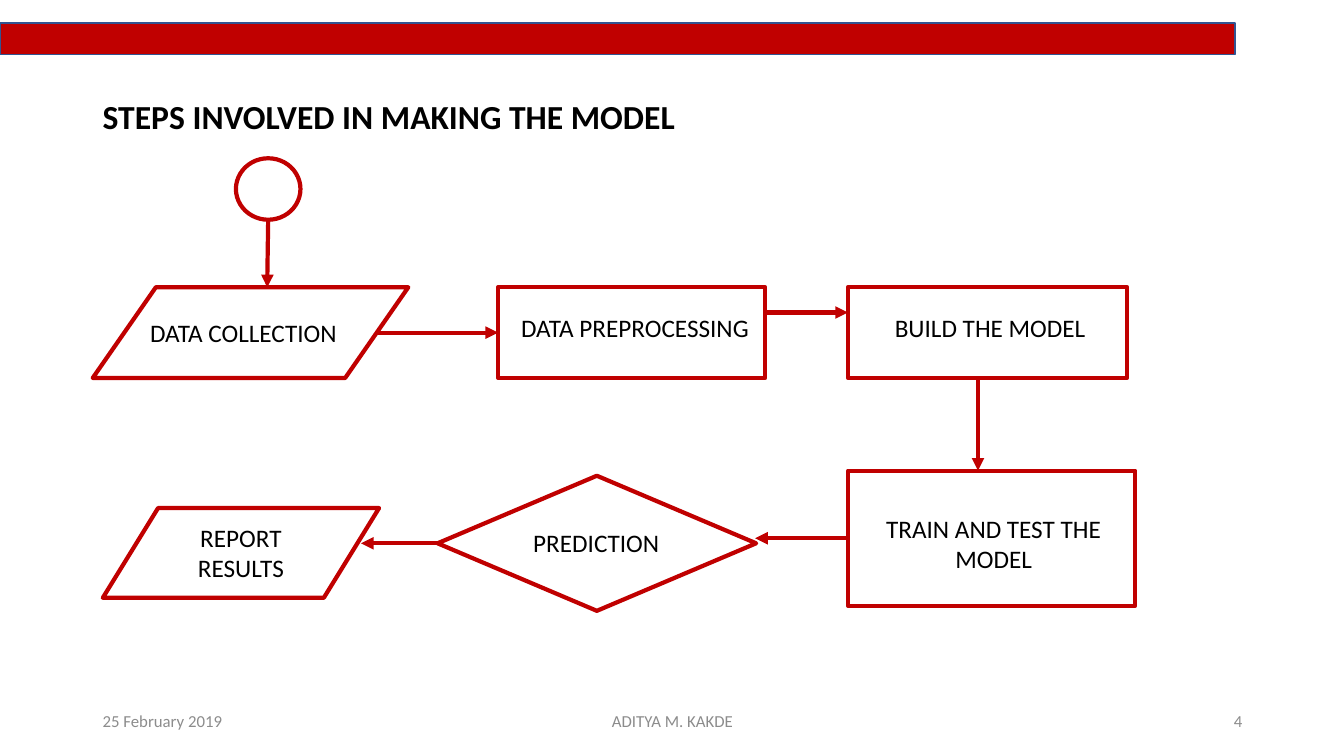
"""Build the slide with the flowchart of steps for making a model."""
from dataclasses import dataclass
from typing import Optional

from lxml import etree
from pptx import Presentation
from pptx import slide as s
from pptx import util as u
from pptx.dml import color
from pptx.enum import shapes, text
from pptx.oxml import ns
from pptx.shapes import autoshape

RED, BLUE, WHITE, BLACK, GREY = "C00000", "325491", "FFFFFF", "000000", "8C8C8C"
LEFT, CENTER, RIGHT = text.PP_ALIGN.LEFT, text.PP_ALIGN.CENTER, text.PP_ALIGN.RIGHT
KIND = shapes.MSO_SHAPE
Area = tuple[float, float, float, float]
Point = tuple[float, float]


@dataclass(frozen=True)
class Label:
    words: str
    area: Area
    align: text.PP_ALIGN = LEFT
    size: int = 18
    shade: str = BLACK
    bold: bool = False
    anchor: text.MSO_ANCHOR = text.MSO_ANCHOR.TOP
    fit: text.MSO_AUTO_SIZE = text.MSO_AUTO_SIZE.SHAPE_TO_FIT_TEXT


@dataclass(frozen=True)
class Step:
    name: str
    kind: shapes.MSO_SHAPE
    area: Area
    label: Optional[Label] = None


@dataclass(frozen=True)
class Arrow:
    start: Point
    end: Point
    leaves: Optional[tuple[str, int]] = None
    enters: Optional[tuple[str, int]] = None


STEPS = [
    Step("start", KIND.FLOWCHART_CONNECTOR, (2.34, 1.57, 0.64, 0.61)),
    Step("collect", KIND.FLOWCHART_DATA, (0.92, 2.85, 3.13, 0.9),
         Label("DATA COLLECTION", (1.39, 3.1, 2.19, 0.4))),
    Step("preprocess", KIND.FLOWCHART_PROCESS, (4.94, 2.85, 2.65, 0.9),
         Label("DATA PREPROCESSING", (5.07, 3.05, 2.65, 0.4))),
    Step("build", KIND.RECTANGLE, (8.41, 2.85, 2.77, 0.9),
         Label("BUILD THE MODEL", (8.53, 3.05, 2.58, 0.4), CENTER)),
    Step("train", KIND.RECTANGLE, (8.41, 4.67, 2.85, 1.34),
         Label("TRAIN AND TEST THE MODEL", (8.53, 5.04, 2.65, 0.71), CENTER)),
    Step("predict", KIND.FLOWCHART_DECISION, (4.34, 4.72, 3.16, 1.34),
         Label("PREDICTION", (5.19, 5.18, 1.69, 0.4))),
    Step("report", KIND.FLOWCHART_DATA, (1.02, 5.04, 2.74, 0.89),
         Label("REPORT RESULTS", (1.56, 5.13, 1.66, 0.71), CENTER)),
]

ARROWS = [
    Arrow((2.66, 2.18), (2.65, 2.85)),
    Arrow((3.74, 3.3), (4.94, 3.3), enters=("preprocess", 1)),
    Arrow((7.59, 3.1), (8.41, 3.1)),
    Arrow((9.7, 3.75), (9.7, 4.67)),
    Arrow((8.41, 5.34), (7.49, 5.34), leaves=("train", 1)),
    Arrow((4.34, 5.39), (3.58, 5.39), leaves=("predict", 1)),
]

TITLE = Label("STEPS INVOLVED IN MAKING THE MODEL", (0.92, 0.9, 6.61, 0.5),
              size=24, bold=True)
FOOTER = [
    ("25 February 2019", 0.92, 3, LEFT),
    ("ADITYA M. KAKDE", 4.42, 4.5, CENTER),
    ("4", 9.42, 3, RIGHT),
]


def rgb(code: str) -> color.RGBColor:
    return color.RGBColor.from_string(code)


def apply(target: object, values: dict[str, object]) -> None:
    for name, value in values.items():
        setattr(target, name, value)


def inches(lengths: tuple[float, ...]) -> list[u.Length]:
    return [u.Inches(length) for length in lengths]


def add_box(page: s.Slide, kind: shapes.MSO_SHAPE, area: Area, fill: str,
            edge: str, weight: float) -> autoshape.Shape:
    box = page.shapes.add_shape(kind, *inches(area))
    box.shadow.inherit = False
    box.fill.solid()
    box.fill.fore_color.rgb = rgb(fill)
    box.line.color.rgb = rgb(edge)
    box.line.width = u.Pt(weight)
    return box


def add_label(page: s.Slide, label: Label) -> None:
    frame = page.shapes.add_textbox(*inches(label.area)).text_frame
    apply(frame, {"word_wrap": True, "auto_size": label.fit,
                  "vertical_anchor": label.anchor})
    para = frame.paragraphs[0]
    para.alignment = label.align
    span = para.add_run()
    span.text = label.words
    apply(span.font, {"name": "Calibri", "size": u.Pt(label.size), "bold": label.bold})
    span.font.color.rgb = rgb(label.shade)


def add_arrow(page: s.Slide, arrow: Arrow, boxes: dict[str, autoshape.Shape]) -> None:
    line = page.shapes.add_connector(
        shapes.MSO_CONNECTOR.STRAIGHT, *inches(arrow.start + arrow.end))
    if arrow.leaves:
        name, side = arrow.leaves
        line.begin_connect(boxes[name], side)
    if arrow.enters:
        name, side = arrow.enters
        line.end_connect(boxes[name], side)
    line.line.color.rgb = rgb(RED)
    line.line.width = u.Pt(3)
    etree.SubElement(line.get_or_add_ln(), ns.qn("a:tailEnd"), type="triangle")
    etree.SubElement(line._element.spPr, ns.qn("a:effectLst"))


def main() -> None:
    deck = Presentation()
    apply(deck, {"slide_width": u.Inches(13.33), "slide_height": u.Inches(7.5)})
    page = deck.slides.add_slide(deck.slide_layouts[6])
    add_box(page, KIND.RECTANGLE, (0, 0.23, 12.25, 0.31), RED, BLUE, 1)
    add_label(page, TITLE)
    boxes = {}
    for step in STEPS:
        boxes[step.name] = add_box(page, step.kind, step.area, WHITE, RED, 3)
        if step.label:
            add_label(page, step.label)
    for arrow in ARROWS:
        add_arrow(page, arrow, boxes)
    for words, left, width, align in FOOTER:
        add_label(page, Label(words, (left, 6.95, width, 0.4), align, 12, GREY,
                              anchor=text.MSO_ANCHOR.MIDDLE,
                              fit=text.MSO_AUTO_SIZE.NONE))
    deck.save("out.pptx")


if __name__ == "__main__":
    main()
